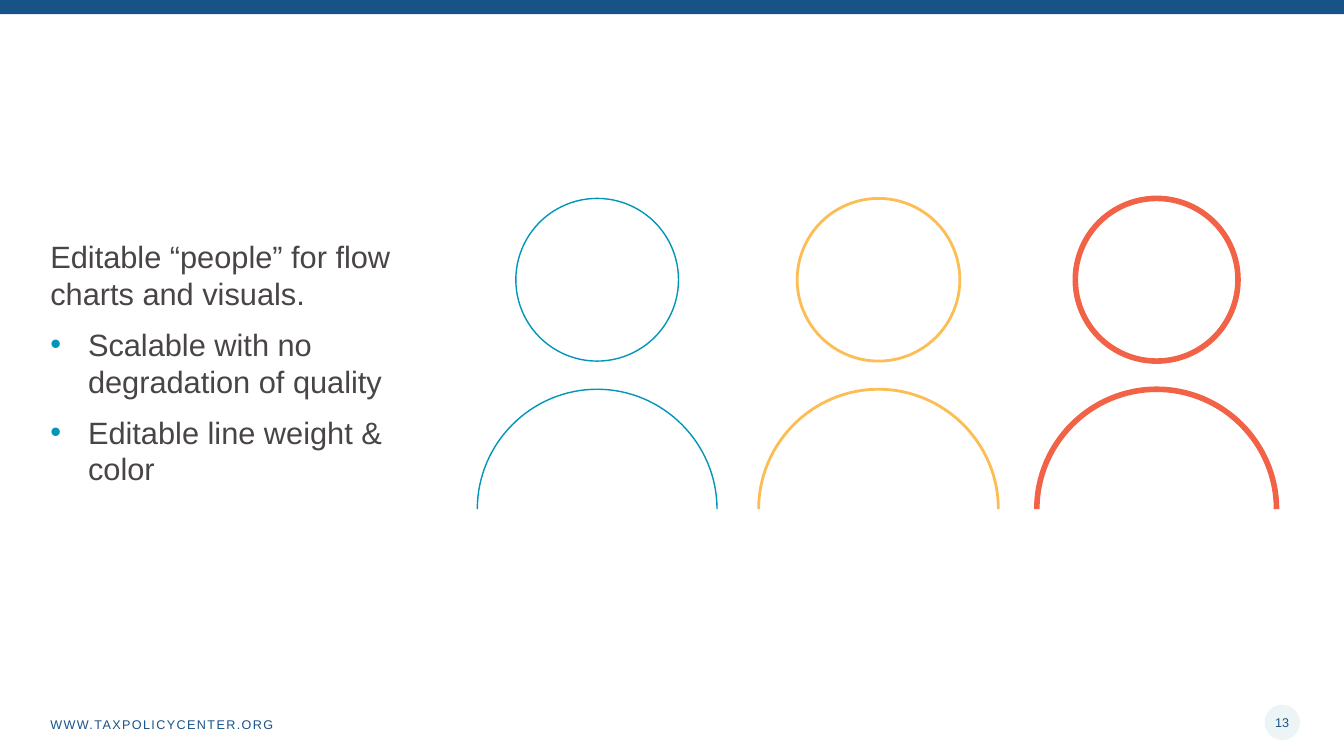
from dataclasses import dataclass

from lxml import etree
from pptx import Presentation
from pptx.dml.color import RGBColor
from pptx.enum.shapes import MSO_SHAPE
from pptx.enum.text import MSO_ANCHOR, PP_ALIGN
from pptx.oxml.ns import qn
from pptx.shapes.autoshape import Shape
from pptx.slide import Slide
from pptx.text.text import TextFrame
from pptx.util import Cm, Pt

RECTANGLE, OVAL = MSO_SHAPE.RECTANGLE, MSO_SHAPE.OVAL
MIDDLE, CENTER = MSO_ANCHOR.MIDDLE, PP_ALIGN.CENTER

NAVY = RGBColor(0x18, 0x53, 0x87)
TEAL = RGBColor(0x01, 0x95, 0xB8)
YELLOW = RGBColor(0xFC, 0xBE, 0x54)
CORAL = RGBColor(0xF2, 0x62, 0x46)
GREY = RGBColor(0x49, 0x45, 0x46)
PALE = RGBColor(0xEC, 0xF4, 0xF6)

FONT = "Arial"
SLIDE_WIDTH, SLIDE_HEIGHT = 33.87, 19.05
MARGIN = 1.27
HEAD_TOP, HEAD_SIZE = 5.0, 4.1
SHOULDER_BASE, SHOULDER_RADIUS = 12.83, 3.02
CURVE = 0.55
SHOULDER_POINTS = [
    (1, 0), (1, CURVE), (CURVE, 1), (0, 1), (-CURVE, 1), (-1, CURVE), (-1, 0)
]


@dataclass(frozen=True)
class Person:
    center: float
    color: RGBColor
    weight: float


@dataclass(frozen=True)
class Statement:
    text: str
    bulleted: bool


PEOPLE = [
    Person(15.05, TEAL, 1),
    Person(22.14, YELLOW, 2),
    Person(29.15, CORAL, 4),
]

STATEMENTS = [
    Statement("Editable “people” for flow charts and visuals.", False),
    Statement("Scalable with no degradation of quality", True),
    Statement("Editable line weight & color", True),
]


def outline(shape: Shape, person: Person) -> None:
    shape.shadow.inherit = False
    shape.fill.background()
    shape.line.color.rgb = person.color
    shape.line.width = Pt(person.weight)


def bend_segments(shape: Shape) -> None:
    segments = list(shape._element.iter(qn("a:lnTo")))
    for first in range(0, len(segments), 3):
        curve = etree.Element(qn("a:cubicBezTo"))
        segments[first].addprevious(curve)
        for segment in segments[first:first + 3]:
            curve.append(segment[0])
            segment.getparent().remove(segment)


def draw_person(page: Slide, person: Person) -> None:
    group = page.shapes.add_group_shape()
    head = group.shapes.add_shape(
        OVAL, Cm(person.center - HEAD_SIZE / 2), Cm(HEAD_TOP), Cm(HEAD_SIZE), Cm(HEAD_SIZE)
    )
    outline(head, person)
    points = [
        (
            Cm(person.center + SHOULDER_RADIUS * across),
            Cm(SHOULDER_BASE - SHOULDER_RADIUS * up),
        )
        for across, up in SHOULDER_POINTS
    ]
    builder = group.shapes.build_freeform(*points[0])
    builder.add_line_segments(points[1:], close=False)
    shoulders = builder.convert_to_shape()
    bend_segments(shoulders)
    outline(shoulders, person)


def add_solid(
    page: Slide, kind: MSO_SHAPE, left: float, top: float,
    width: float, height: float, color: RGBColor,
) -> Shape:
    shape = page.shapes.add_shape(kind, Cm(left), Cm(top), Cm(width), Cm(height))
    shape.shadow.inherit = False
    shape.fill.solid()
    shape.fill.fore_color.rgb = color
    shape.line.fill.background()
    return shape


def set_frame(frame: TextFrame, inset: float) -> None:
    frame.word_wrap = True
    frame.vertical_anchor = MIDDLE
    frame.margin_left = frame.margin_right = Cm(inset)
    frame.margin_top = frame.margin_bottom = Cm(inset)


def add_text_box(
    page: Slide, left: float, top: float, width: float, height: float
) -> TextFrame:
    box = page.shapes.add_textbox(Cm(left), Cm(top), Cm(width), Cm(height))
    set_frame(box.text_frame, 0)
    return box.text_frame


def format_spans(frame: TextFrame, size: float, color: RGBColor) -> None:
    for para in frame.paragraphs:
        for span in para.runs:
            span.font.name = FONT
            span.font.size = Pt(size)
            span.font.color.rgb = color


def write_statements(page: Slide) -> None:
    frame = add_text_box(page, MARGIN, 1.47, 10.16, 15.32)
    frame.text = "\n".join(statement.text for statement in STATEMENTS)
    for index, (para, statement) in enumerate(zip(frame.paragraphs, STATEMENTS)):
        if index:
            para.space_before = Pt(10)
        if statement.bulleted:
            properties = para._p.get_or_add_pPr()
            properties.set("marL", str(Cm(0.95)))
            properties.set("indent", str(-Cm(0.95)))
            bullet_color = etree.SubElement(properties, qn("a:buClr"))
            etree.SubElement(bullet_color, qn("a:srgbClr"), val=str(TEAL))
            etree.SubElement(properties, qn("a:buFont"), typeface=FONT)
            etree.SubElement(properties, qn("a:buChar"), char="•")
    format_spans(frame, 22, GREY)


def write_footer(page: Slide) -> None:
    frame = add_text_box(page, MARGIN, 17.85, 11.43, 0.81)
    frame.text = "WWW.TAXPOLICYCENTER.ORG"
    format_spans(frame, 9, NAVY)
    frame.paragraphs[0].runs[0].font._element.set("spc", "100")


def draw_page_number(page: Slide) -> None:
    badge = add_solid(page, OVAL, 31.87, 17.76, 0.89, 0.89, PALE)
    frame = badge.text_frame
    set_frame(frame, 0.13)
    frame.word_wrap = False
    frame.text = "13"
    frame.paragraphs[0].alignment = CENTER
    format_spans(frame, 9, NAVY)


def main() -> None:
    deck = Presentation()
    deck.slide_width, deck.slide_height = Cm(SLIDE_WIDTH), Cm(SLIDE_HEIGHT)
    page = deck.slides.add_slide(deck.slide_layouts[6])
    add_solid(page, RECTANGLE, 0, 0, SLIDE_WIDTH, 0.36, NAVY)
    for person in PEOPLE:
        draw_person(page, person)
    write_statements(page)
    write_footer(page)
    draw_page_number(page)
    deck.save("out.pptx")


if __name__ == "__main__":
    main()
